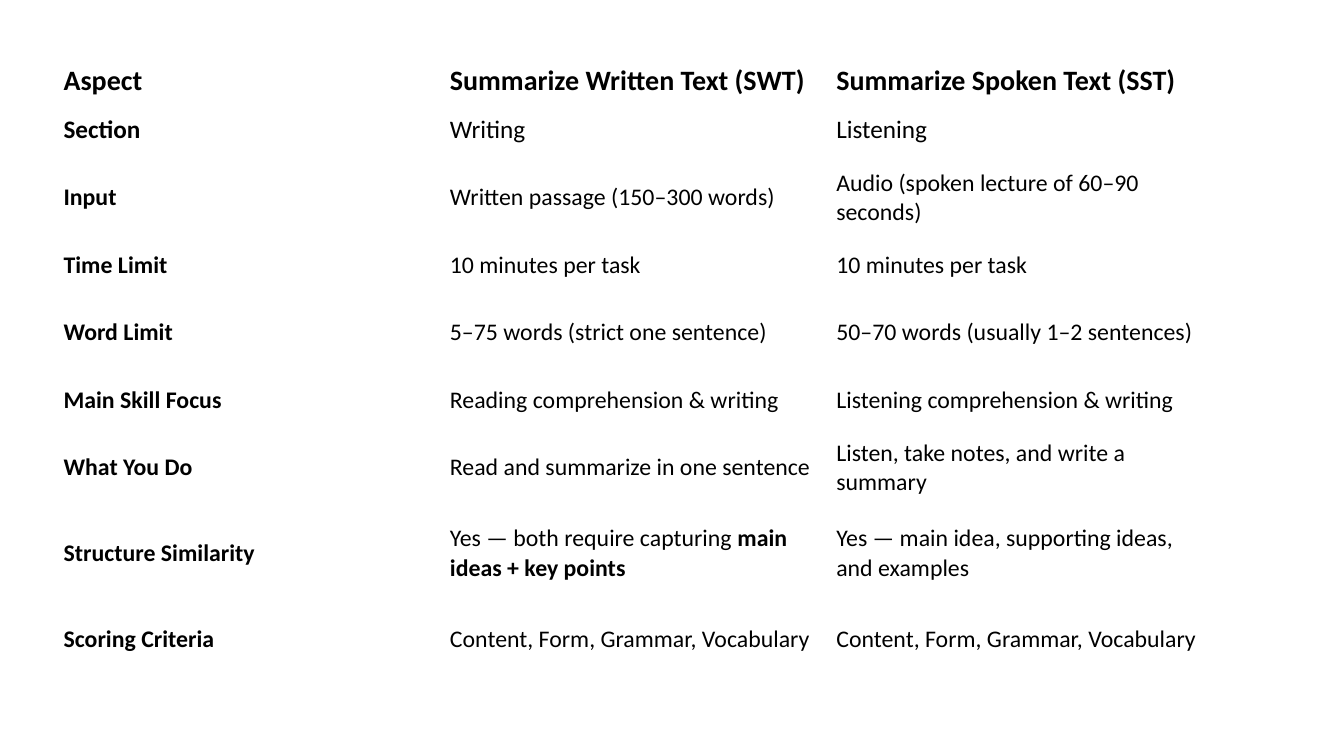
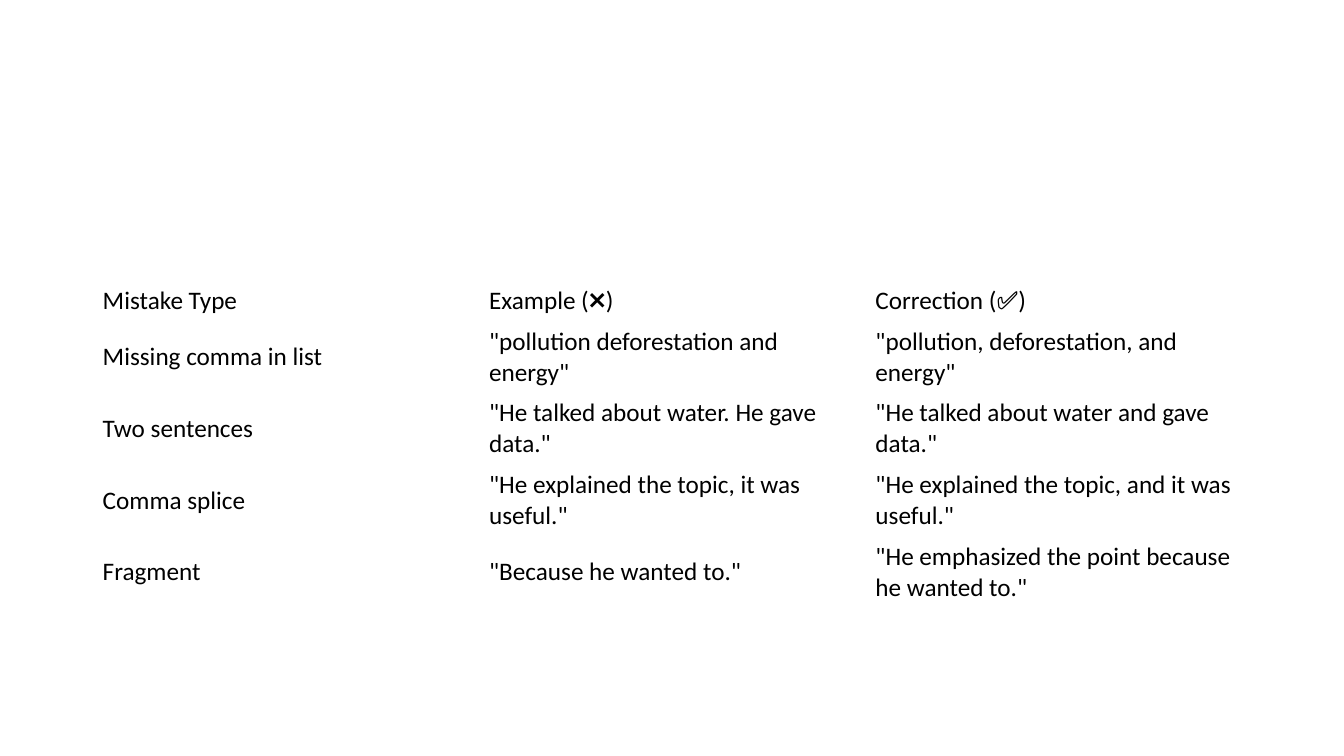
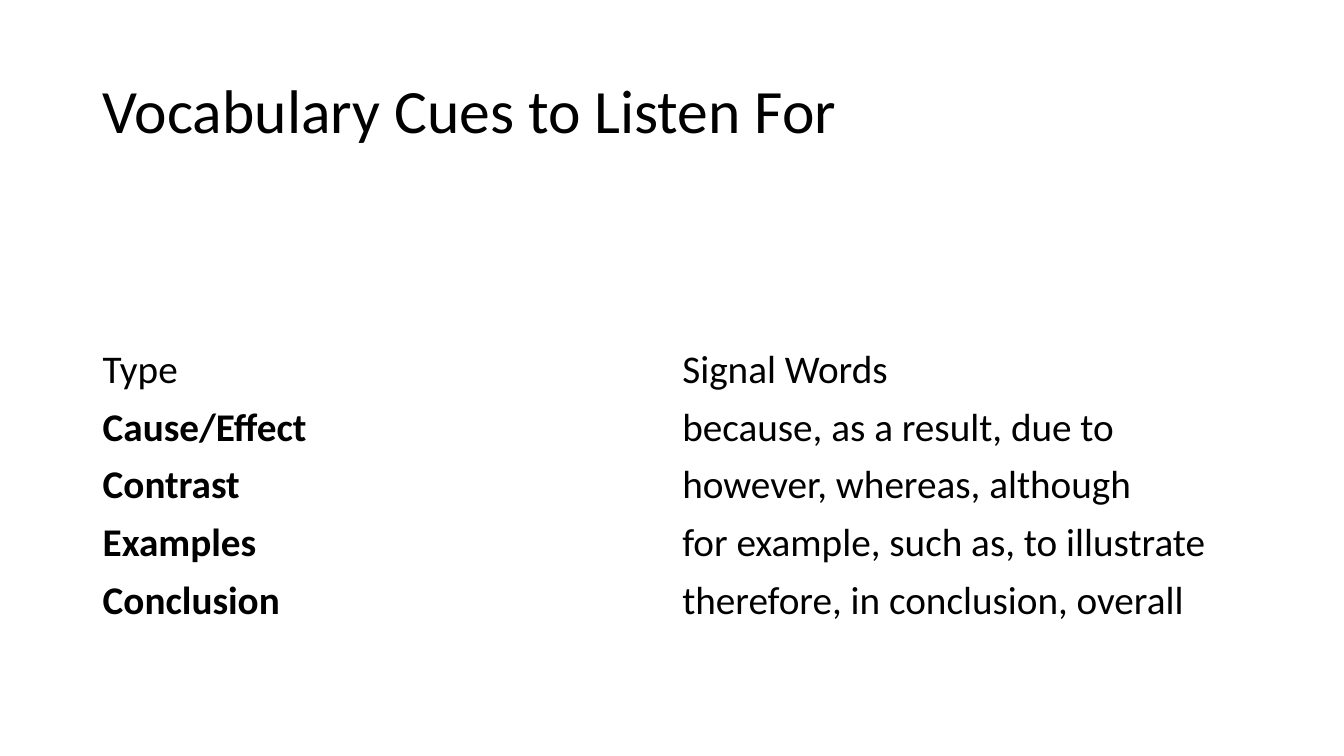
import pptx
import pptx.util
import pptx.dml.color
import pptx.enum.text

Pt = pptx.util.Pt
MIDDLE = pptx.enum.text.MSO_ANCHOR.MIDDLE

# Shared style
COLORS = {"text": "000000", "background": "FFFFFF"}
FONT = "Calibri"
LEFT, WIDTH = 66.2, 828

# Table wording; a tuple holds plain text followed by bold text
TASKS = [
    ("Aspect", "Summarize Written Text (SWT)", "Summarize Spoken Text (SST)"),
    ("Section", "Writing", "Listening"),
    ("Input", "Written passage (150–300 words)", "Audio (spoken lecture of 60–90 seconds)"),
    ("Time Limit", "10 minutes per task", "10 minutes per task"),
    ("Word Limit", "5–75 words (strict one sentence)", "50–70 words (usually 1–2 sentences)"),
    ("Main Skill Focus", "Reading comprehension & writing", "Listening comprehension & writing"),
    ("What You Do", "Read and summarize in one sentence", "Listen, take notes, and write a summary"),
    ("Structure Similarity", ("Yes — both require capturing ", "main ideas + key points"),
     "Yes — main idea, supporting ideas, and examples"),
    ("Scoring Criteria", "Content, Form, Grammar, Vocabulary", "Content, Form, Grammar, Vocabulary"),
]
MISTAKES = [
    ("Mistake Type", "Example (❌)", "Correction (✅)"),
    ("Missing comma in list", '"pollution deforestation and energy"', '"pollution, deforestation, and energy"'),
    ("Two sentences", '"He talked about water. He gave data."', '"He talked about water and gave data."'),
    ("Comma splice", '"He explained the topic, it was useful."', '"He explained the topic, and it was useful."'),
    ("Fragment", '"Because he wanted to."', '"He emphasized the point because he wanted to."'),
]
CUES = [
    ("Type", "Signal Words"),
    ("Cause/Effect", "because, as a result, due to"),
    ("Contrast", "however, whereas, although"),
    ("Examples", "for example, such as, to illustrate"),
    ("Conclusion", "therefore, in conclusion, overall"),
]


def set_font(p, size, bold=False):
    p.font.name = FONT
    p.font.size = Pt(size)
    p.font.bold = bold
    p.font.color.rgb = pptx.dml.color.RGBColor.from_string(COLORS["text"])


def add_slide(prs):
    slide = prs.slides.add_slide(prs.slide_layouts[6])
    fill = slide.background.fill
    fill.solid()
    fill.fore_color.rgb = pptx.dml.color.RGBColor.from_string(COLORS["background"])
    return slide


def add_title(slide, text, left, top, width, height):
    tf = slide.shapes.add_textbox(Pt(left), Pt(top), Pt(width), Pt(height)).text_frame
    tf.word_wrap = True
    tf.vertical_anchor = MIDDLE
    p = tf.paragraphs[0]
    p.text = text
    p.line_spacing = 0.9
    set_font(p, 44)


def add_plain_table(slide, rows, left, top, width, heights, sizes, is_bold):
    """Place an unfilled table with equal columns; heights and sizes go by row."""
    cols = len(rows[0])
    table = slide.shapes.add_table(
        len(rows), cols, Pt(left), Pt(top), Pt(width), Pt(sum(heights))).table
    table.first_row = table.horz_banding = False
    for column in table.columns:
        column.width = Pt(width / cols)
    for i, (row, height, size) in enumerate(zip(rows, heights, sizes)):
        table.rows[i].height = Pt(height)
        for j, text in enumerate(row):
            cell = table.cell(i, j)
            cell.fill.background()
            cell.vertical_anchor = MIDDLE
            p = cell.text_frame.paragraphs[0]
            set_font(p, size, is_bold(i, j))
            parts = (text,) if isinstance(text, str) else text
            for k, part in enumerate(parts):
                r = p.add_run()
                r.text = part
                if k:
                    r.font.bold = True


def main():
    prs = pptx.Presentation()
    prs.slide_width, prs.slide_height = Pt(960), Pt(540)

    # Task comparison
    short, tall = 35.2, 61.2
    add_plain_table(add_slide(prs), TASKS, 38.2, 40.3, WIDTH,
                    [short, short, tall, short, tall, short, tall, tall, tall],
                    [20, 18] + [17] * 7, lambda i, j: i == 0 or j == 0)

    # Common mistakes
    add_plain_table(add_slide(prs), MISTAKES, LEFT, 200.2, WIDTH,
                    [29.2] + [51.2] * 4, [18] * 5, lambda i, j: False)

    # Vocabulary cues
    slide = add_slide(prs)
    add_title(slide, "Vocabulary Cues to Listen For", LEFT, 28.8, WIDTH, 104.4)
    add_plain_table(slide, CUES, LEFT, 243.4, WIDTH,
                    [41.4] * 5, [28] * 5, lambda i, j: i > 0 and j == 0)

    prs.save("out.pptx")


if __name__ == "__main__":
    main()
